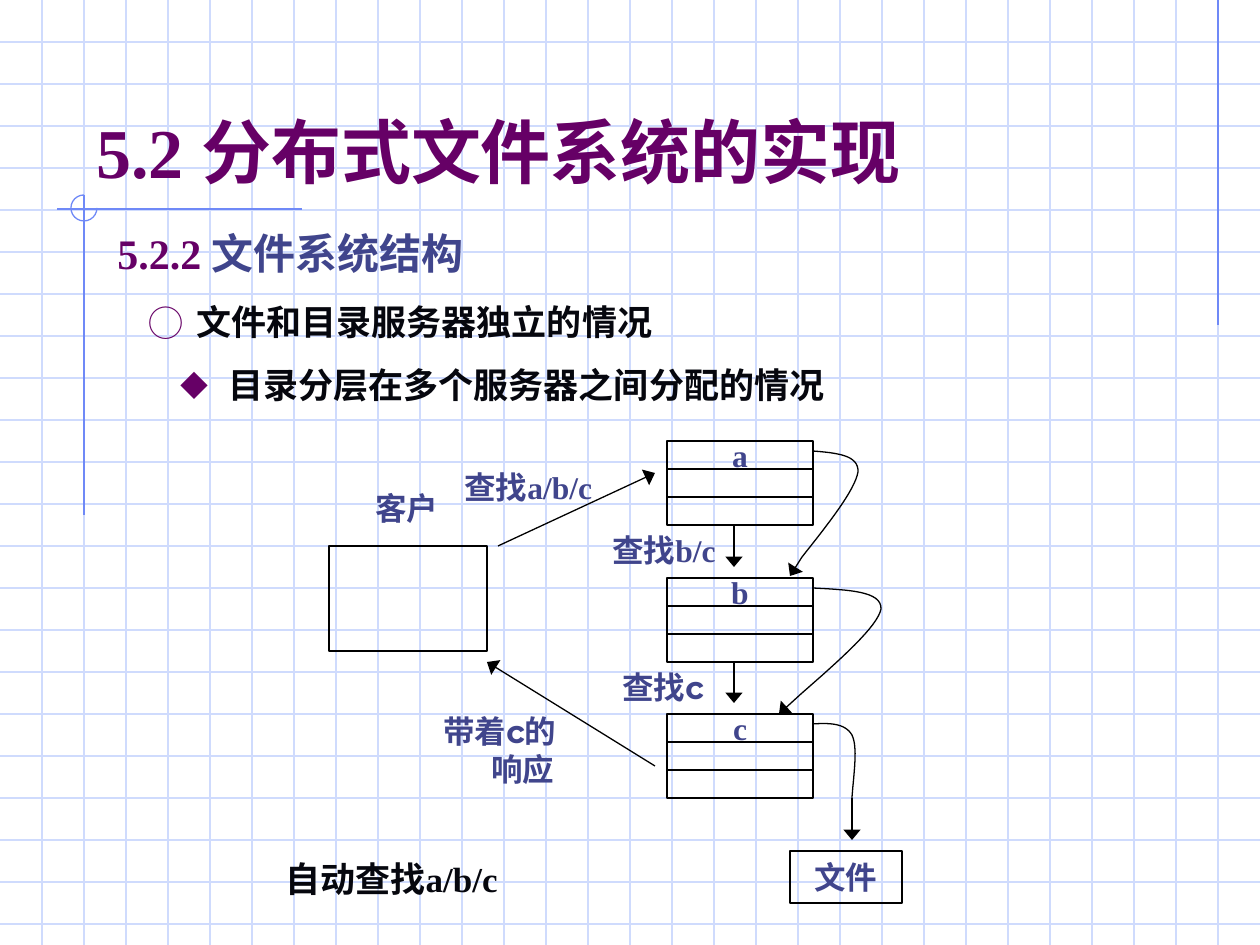
from pptx import Presentation, util as u
from pptx.dml.color import RGBColor
from pptx.enum import shapes, text
from pptx.oxml.ns import qn
from lxml import etree

GRID_BLUE = RGBColor(0xCF, 0xDB, 0xFD)
RULE_BLUE = RGBColor(0x6F, 0x89, 0xF7)
PURPLE = RGBColor(0x66, 0x00, 0x66)
INDIGO = RGBColor(0x40, 0x45, 0x8C)
INK = RGBColor(0x06, 0x07, 0x0E)
BLACK = RGBColor(0, 0, 0)
SERIF, SANS, CJK = "Times New Roman", "Montserrat", "Noto Sans CJK SC"

WIDTH, HEIGHT, GRID = 1260, 945, 42
INDENT = 48

# Rules of the background: start, end
RULES = [((1218, 0), (1218, 325)), ((302, 209), (57, 209)), ((84, 195), (84, 515))]
RULE_ARC = (71, 195, 26, 26)

# Text: box, size, space before, runs of (words, font, colour), bullet and its percent
HEADINGS = [
    ((105, 221, 1102, 60), 24, 6,
     [("5.2.2 ", SERIF, PURPLE), ("文件系统结构", SANS, INDIGO)], None),
    ((136, 294, 1040, 55), 20, 5,
     [("文件和目录服务器独立的情况", SERIF, INK)], ("◯", 100)),
    ((168, 357, 1008, 55), 20, 5,
     [("目录分层在多个服务器之间分配的情况", SANS, INK)], ("◆", 80)),
]
LABELS = [
    ((363, 483, 158, 50), 18, 11.2, [("客户", SANS, INDIGO)]),
    ((452, 462, 214, 50), 18, 11.2, [("查找", SANS, INDIGO), ("a/b/c", SERIF, INDIGO)]),
    ((600, 525, 214, 50), 18, 11.2, [("查找", SANS, INDIGO), ("b/c", SERIF, INDIGO)]),
    ((610, 662, 214, 50), 18, 11.2, [("查找c", SANS, INDIGO)]),
    ((431, 706, 169, 88), 18, 11.2, [("带着c的响应", SANS, INDIGO)]),
    ((273, 851, 292, 55), 20, 12.5, [("自动查找a/b/c", SERIF, INK)]),
]

# Directory servers: name, top; each is a stack of equal rows
SERVERS = [("a", 441), ("b", 578), ("c", 714)]
SERVER_LEFT, SERVER_WIDTH, ROW_HEIGHT, ROWS = 667, 146, 28, 3
CLIENT = (329, 546, 158, 105)
FILE = (790, 851, 112, 52)

ARROWS = [
    ((498, 546), (655, 473)), ((655, 766), (487, 662)),
    ((734, 525), (734, 567)), ((734, 662), (734, 703)),
    ((802, 557), (790, 576)), ((802, 693), (779, 714)), ((852, 798), (852, 840)),
]
# Curves: start, then two cubic pieces of three points each
CURVES = [
    ((813, 451), [((837, 453), (859, 455), (858, 472)), ((855, 490), (829, 523), (802, 557))]),
    ((813, 588), [((848, 590), (882, 591), (881, 609)), ((878, 626), (840, 660), (802, 693))]),
    ((813, 724), [((829, 723), (845, 723), (852, 735)), ((858, 747), (854, 772), (852, 798))]),
]
CURVE_STEPS = 16


def px(length):
    return u.Emu(round(length * 914400 / 126))


def add_line(slide, start, end, color, arrow=False):
    line = slide.shapes.add_connector(
        shapes.MSO_CONNECTOR.STRAIGHT, *(px(v) for v in start + end))
    line.line.color.rgb = color
    line.line.width = u.Pt(0.75)
    properties = line._element.spPr
    if arrow:
        etree.SubElement(properties.find(qn("a:ln")), qn("a:tailEnd"),
                         type="triangle", w="lg", len="med")
    etree.SubElement(properties, qn("a:effectLst"))


def outline(shape, color=BLACK):
    shape.shadow.inherit = False
    shape.fill.background()
    shape.line.color.rgb = color
    shape.line.width = u.Pt(0.75)


def add_box(slide, box, preset=shapes.MSO_SHAPE.RECTANGLE, color=BLACK):
    shape = slide.shapes.add_shape(preset, *map(px, box))
    outline(shape, color)
    return shape


def add_curve(slide, start, pieces):
    """Follow cubic pieces with short straight steps."""
    points, p0 = [], start
    for p1, p2, p3 in pieces:
        for step in range(1, CURVE_STEPS + 1):
            t = step / CURVE_STEPS
            weights = ((1 - t) ** 3, 3 * t * (1 - t) ** 2, 3 * t * t * (1 - t), t ** 3)
            points.append(tuple(
                px(sum(w * p[axis] for w, p in zip(weights, (p0, p1, p2, p3))))
                for axis in (0, 1)))
        p0 = p3
    builder = slide.shapes.build_freeform(*map(px, start))
    builder.add_line_segments(points, close=False)
    outline(builder.convert_to_shape())


def write(frame, runs, size, space=0, indent=INDENT, bullet=None, east_asian=SANS):
    paragraph = frame.paragraphs[0]
    paragraph.space_before = u.Pt(space)
    properties = paragraph._p.get_or_add_pPr()
    properties.set("marL", str(px(indent)))
    properties.set("indent", str(-px(indent)))
    if bullet:
        mark, percent = bullet
        color = etree.SubElement(properties, qn("a:buClr"))
        etree.SubElement(color, qn("a:srgbClr"), val=str(PURPLE))
        etree.SubElement(properties, qn("a:buSzPct"), val=str(percent * 1000))
        etree.SubElement(properties, qn("a:buFont"), typeface=CJK)
        etree.SubElement(properties, qn("a:buChar"), char=mark)
    for words, font, color in runs:
        run = paragraph.add_run()
        run.text = words
        run.font.size, run.font.bold, run.font.name = u.Pt(size), True, font
        run.font.color.rgb = color
        etree.SubElement(run._r.rPr, qn("a:ea"), typeface=east_asian)
    return paragraph


def add_text(slide, box, size, space, runs, bullet=None):
    frame = slide.shapes.add_textbox(*map(px, box)).text_frame
    frame.word_wrap = True
    write(frame, runs, size, space, bullet=bullet)


def add_named_box(slide, box, name, font):
    frame = add_box(slide, box).text_frame
    frame.word_wrap = False
    frame.vertical_anchor = text.MSO_ANCHOR.MIDDLE
    paragraph = write(frame, [(name, font, INDIGO)], 18, 4.5)
    paragraph.alignment = text.PP_ALIGN.CENTER


def add_background(slide):
    for y in range(GRID, HEIGHT, GRID):
        add_line(slide, (0, y), (WIDTH, y), GRID_BLUE)
    for x in range(GRID, WIDTH, GRID):
        add_line(slide, (x, 0), (x, HEIGHT), GRID_BLUE)
    for start, end in RULES:
        add_line(slide, start, end, RULE_BLUE)
    arc = add_box(slide, RULE_ARC, shapes.MSO_SHAPE.ARC, RULE_BLUE)
    arc.adjustments[0], arc.adjustments[1] = 0, 162  # 0 to 270 degrees


def add_title(slide):
    frame = slide.shapes.add_textbox(*map(px, (84, 42, 1071, 157))).text_frame
    frame.word_wrap = True
    frame.vertical_anchor = text.MSO_ANCHOR.BOTTOM
    write(frame, [("5.2 ", SERIF, PURPLE), ("分布式文件系统的实现", CJK, PURPLE)],
          40, indent=0, east_asian=CJK)


def add_diagram(slide):
    for name, top in SERVERS:
        rows = [(SERVER_LEFT, top + row * ROW_HEIGHT, SERVER_WIDTH, ROW_HEIGHT)
                for row in range(ROWS)]
        add_named_box(slide, rows[0], name, SERIF)
        for row in rows[1:]:
            add_box(slide, row)
    add_box(slide, CLIENT)
    add_named_box(slide, FILE, "文件", SANS)
    for start, pieces in CURVES:
        add_curve(slide, start, pieces)
    for start, end in ARROWS:
        add_line(slide, start, end, BLACK, arrow=True)
    for label in LABELS:
        add_text(slide, *label)


def main():
    deck = Presentation()
    deck.slide_width, deck.slide_height = px(WIDTH), px(HEIGHT)
    slide = deck.slides.add_slide(deck.slide_layouts[6])
    add_background(slide)
    add_title(slide)
    for heading in HEADINGS:
        add_text(slide, *heading)
    add_diagram(slide)
    deck.save("out.pptx")


if __name__ == "__main__":
    main()
